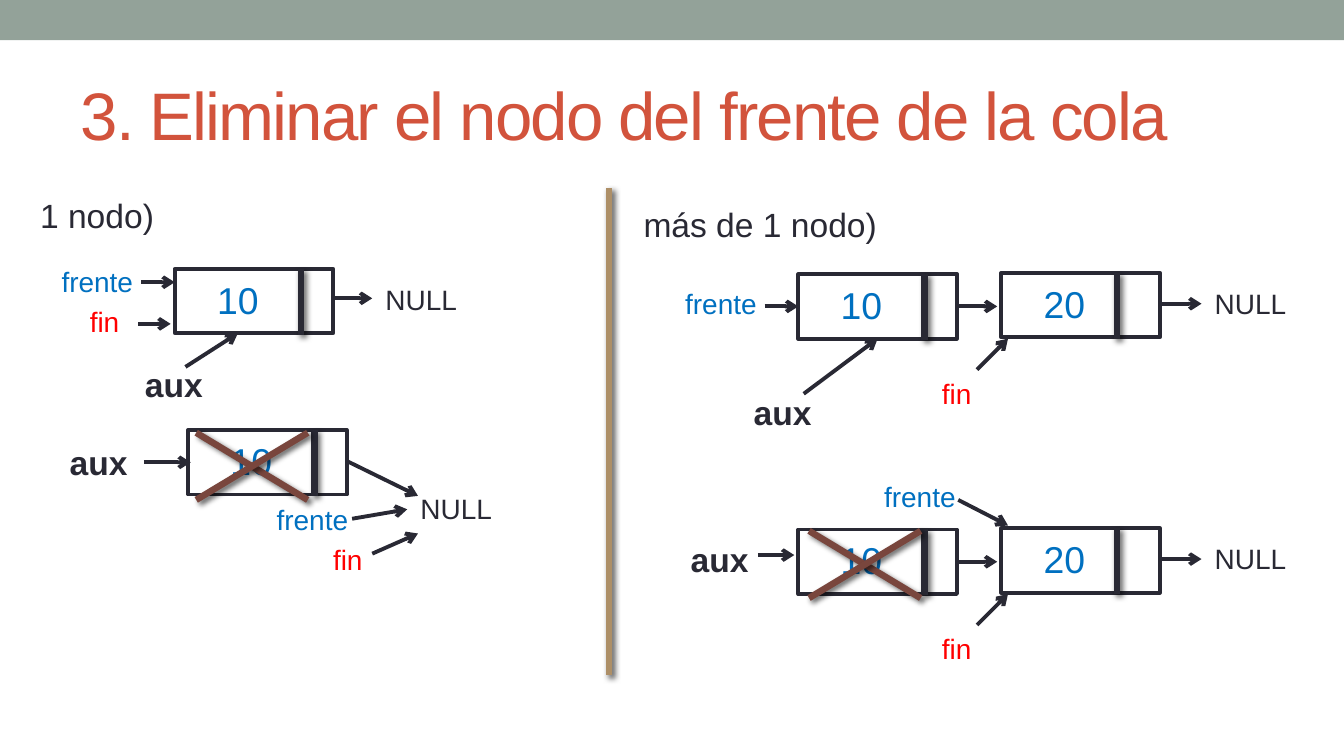
"""Build the slide on removing the front node of a queue."""
from lxml import etree
from pptx import Presentation
from pptx.dml.color import RGBColor
from pptx.enum.shapes import MSO_CONNECTOR, MSO_SHAPE
from pptx.enum.text import MSO_ANCHOR, PP_ALIGN
from pptx.oxml.ns import qn
from pptx.util import Pt

LINE, RECT = MSO_CONNECTOR.STRAIGHT, MSO_SHAPE.RECTANGLE
LEFT, CENTER, MIDDLE = PP_ALIGN.LEFT, PP_ALIGN.CENTER, MSO_ANCHOR.MIDDLE
PX = 9144
WIDE = 1000
NODE_W, NODE_H, CELL_W = 118, 48, 94
CROSS_W, CROSS_H = 83, 50
CHAIN_GAP = 190

COLORS = {"bar": "93A299", "title": "D2533C", "rule": "AD8F67", "ink": "292934",
          "blue": "0070C0", "red": "FF0000", "cross": "79463D", "white": "FFFFFF"}

STYLES = {
    "title": ("title", {"size": Pt(36), "bold": False}),
    "head": ("ink", {"size": Pt(18), "bold": False}),
    "aux": ("ink", {"size": Pt(18), "bold": True}),
    "null": ("ink", {"size": Pt(15), "bold": False}),
    "front": ("blue", {"size": Pt(15), "bold": False}),
    "end": ("red", {"size": Pt(15), "bold": False}),
    "value": ("blue", {"size": Pt(20), "bold": False}),
}

TITLE = "3. Eliminar el nodo del frente de la cola"
RULE = (453, 140, 453, 502)

NODES = [("10", 130, 200, 94), ("10", 140, 320, 94)]
CHAIN_NODES = [("10", 594, 204, 94), ("20", 745, 203, 86)]

LABELS = [
    ("1 nodo)", "head", 20, 140, 110, 40),
    ("más de 1 nodo)", "head", 469, 147, 197, 40),
    ("frente", "front", 36, 192, 84, 35),
    ("fin", "end", 57, 222, 67, 35),
    ("NULL", "null", 277, 205, 86, 35),
    ("aux", "aux", 98, 266, 72, 40),
    ("aux", "aux", 42, 324, 72, 40),
    ("frente", "front", 196, 369, 84, 35),
    ("fin", "end", 238, 399, 53, 35),
    ("NULL", "null", 303, 361, 86, 35),
    ("frente", "front", 500, 208, 84, 35),
    ("aux", "aux", 551, 287, 67, 40),
    ("frente", "front", 648, 352, 84, 35),
    ("aux", "aux", 504, 396, 67, 40),
]
CHAIN_LABELS = [("NULL", "null", 894, 208, 86, 35), ("fin", "end", 691, 275, 59, 35)]

ARROWS = [
    (105, 210, 130, 210), (103, 241, 127, 241), (248, 222, 277, 222), (138, 273, 177, 248),
    (107, 344, 142, 344), (258, 343, 311, 369), (262, 386, 303, 379), (277, 412, 311, 397),
    (569, 228, 594, 228), (598, 293, 653, 252), (713, 372, 750, 391), (564, 413, 591, 413),
]
CHAIN_ARROWS = [(713, 228, 742, 228), (864, 226, 894, 226), (727, 275, 750, 252)]

CROSSES = [(146, 322), (602, 395)]


def rgb(name):
    return RGBColor.from_string(COLORS[name])


def emu(*spots):
    return [n * PX for n in spots]


def write(frame, text, style, align=LEFT):
    color, form = STYLES[style]
    para = frame.paragraphs[0]
    para.alignment = align
    run = para.add_run()
    run.text = text
    run.font.name = "Arial"
    run.font.color.rgb = rgb(color)
    for key, value in form.items():
        setattr(run.font, key, value)
    return run


def label(slide, text, style, x, y, w, h, align=LEFT):
    frame = slide.shapes.add_textbox(*emu(x, y, w, h)).text_frame
    frame.word_wrap = True
    write(frame, text, style, align)


def box(slide, x, y, w, h, fill, edge=None):
    shape = slide.shapes.add_shape(RECT, *emu(x, y, w, h))
    shape.shadow.inherit = False
    shape.fill.solid()
    shape.fill.fore_color.rgb = rgb(fill)
    if edge:
        shape.line.color.rgb = rgb(edge)
        shape.line.width = Pt(2.08)
    else:
        shape.line.fill.background()


def stroke(slide, ends, color, width):
    line = slide.shapes.add_connector(LINE, *emu(*ends))
    line.line.color.rgb = rgb(color)
    line.line.width = Pt(width)
    return line, etree.SubElement(line._element.spPr, qn("a:effectLst"))


def arrow(slide, ends):
    line, _ = stroke(slide, ends, "ink", 2.08)
    etree.SubElement(line.line._get_or_add_ln(), qn("a:tailEnd"), type="arrow")


def thick(slide, ends, color):
    _, effects = stroke(slide, ends, color, 3.5)
    shade = etree.SubElement(effects, qn("a:outerShdw"), blurRad=str(Pt(3)),
                             dist=str(Pt(2)), dir="2700000", rotWithShape="0")
    tone = etree.SubElement(shade, qn("a:srgbClr"), val="000000")
    etree.SubElement(tone, qn("a:alpha"), val="60000")


def node(slide, text, x, y, split):
    box(slide, x, y, NODE_W, NODE_H, "white", "ink")
    thick(slide, (x + split, y, x + split, y + NODE_H + 1), "ink")
    label(slide, text, "value", x, y + 1, CELL_W, 44, CENTER)


def cross(slide, x, y):
    right, low = x + CROSS_W, y + CROSS_H
    thick(slide, (x, y, right, low), "cross")
    thick(slide, (x, low, right, y), "cross")


def head(slide):
    title = slide.shapes.title
    spot = dict(zip(("left", "top", "width", "height"), emu(50, 44, 900, 81)))
    for key, value in spot.items():
        setattr(title, key, value)
    title.text_frame.vertical_anchor = MIDDLE
    run = write(title.text_frame, TITLE, "title")
    run.font._element.set("spc", "-100")


def main():
    deck = Presentation()
    deck.slide_width = WIDE * PX
    deck.slide_height = deck.slide_width * 9 // 16
    slide = deck.slides.add_slide(deck.slide_layouts[5])
    box(slide, 0, 0, WIDE, 30, "bar")
    head(slide)
    thick(slide, RULE, "rule")
    for item in NODES:
        node(slide, *item)
    for drop in (0, CHAIN_GAP):
        for text, x, y, split in CHAIN_NODES:
            node(slide, text, x, y + drop, split)
        for text, style, x, y, w, h in CHAIN_LABELS:
            label(slide, text, style, x, y + drop, w, h)
        for x, y, right, low in CHAIN_ARROWS:
            arrow(slide, (x, y + drop, right, low + drop))
    for item in LABELS:
        label(slide, *item)
    for ends in ARROWS:
        arrow(slide, ends)
    for spot in CROSSES:
        cross(slide, *spot)
    deck.save("out.pptx")


if __name__ == "__main__":
    main()
